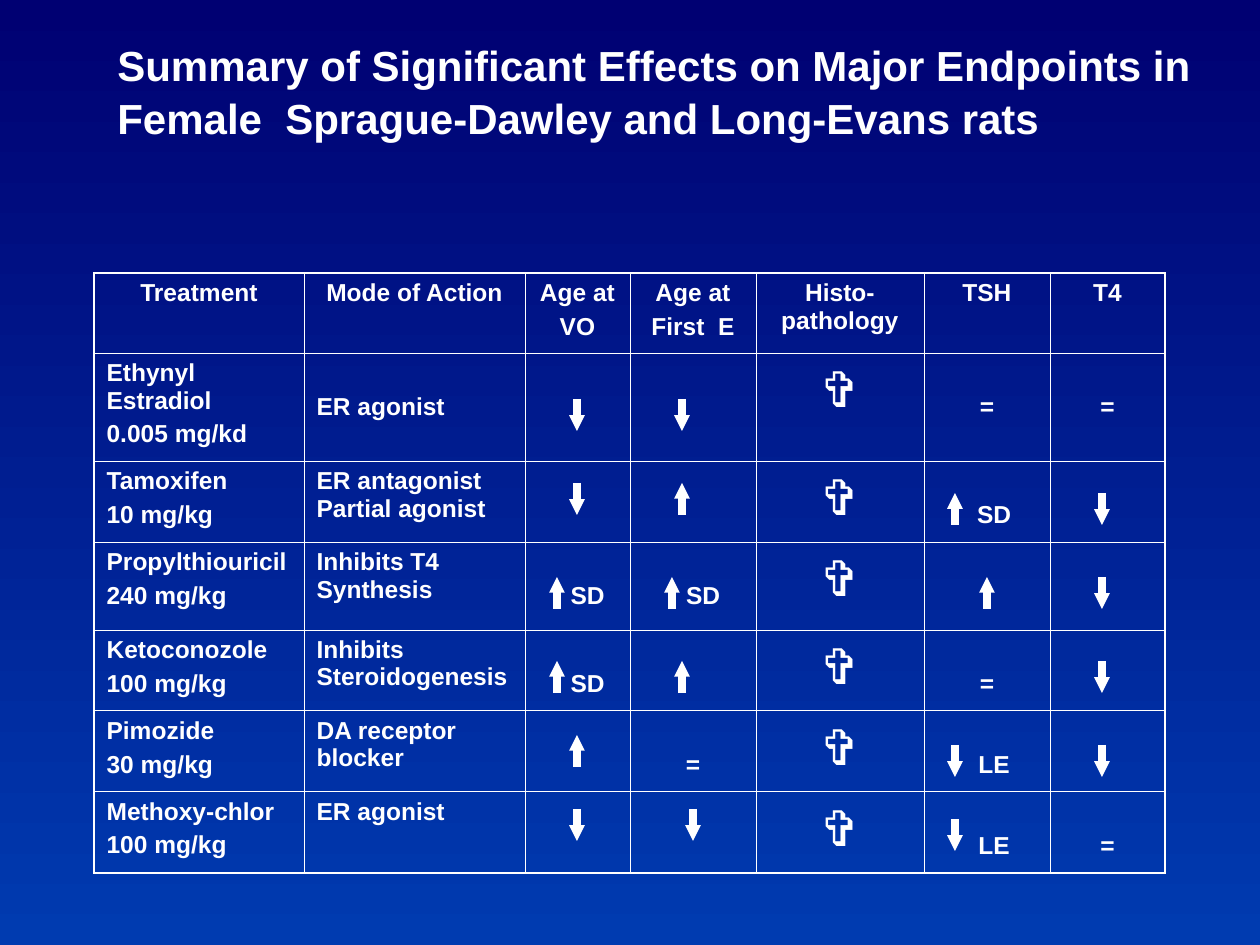
from lxml.etree import SubElement
from pptx import Presentation
from pptx.dml.color import RGBColor
from pptx.enum.shapes import MSO_CONNECTOR as Connector
from pptx.enum.text import MSO_AUTO_SIZE as AutoSize, PP_ALIGN as Align
from pptx.oxml.ns import qn
from pptx.util import Inches, Pt

WHITE = RGBColor(0xFF, 0xFF, 0xFF)
NAVY = RGBColor(0x00, 0x00, 0x72)
BLUE = RGBColor(0x00, 0x3B, 0xB0)

COLUMN_WIDTHS = [210, 221, 105, 126, 168, 126, 115]
ROW_HEIGHTS = [80, 108, 81, 88, 81, 81, 81]
HEADINGS = ["Treatment", "Mode of Action", "Age at\nVO", "Age at\nFirst  E",
            "Histo-pathology", "TSH", "T4"]
CROSS = "✞"
FINDINGS = [
    ["Ethynyl Estradiol\n0.005 mg/kd", "ER agonist", "", "", CROSS, "=", "="],
    ["Tamoxifen\n10 mg/kg", "ER antagonist Partial agonist", "", "", CROSS, "SD", ""],
    ["Propylthiouricil\n240 mg/kg", "Inhibits T4 Synthesis", "SD", "SD", CROSS, "", ""],
    ["Ketoconozole\n100 mg/kg", "Inhibits Steroidogenesis", "SD", "", CROSS, "=", ""],
    ["Pimozide\n30 mg/kg", "DA receptor blocker", "", "=", CROSS, "LE", ""],
    ["Methoxy-chlor\n100 mg/kg", "ER agonist", "", "", CROSS, "LE", "="],
]
STRAIN_INDENTS = {2: 33, 3: 33, 5: 27}
LOWERED_TOP = 40

ARROW_LENGTH = 32
RISES = [(557, 577), (557, 661), (577, 735), (682, 483), (672, 577),
         (682, 661), (955, 493), (987, 577)]
FALLS = [(577, 399), (577, 483), (577, 809), (682, 399), (693, 809),
         (955, 745), (955, 819), (1102, 493), (1102, 577), (1102, 661),
         (1102, 745)]


def px(length):
    """Turn a length in px into EMU."""
    return round(length * Inches(1) / 126)


def style_text(frame, size, align=Align.LEFT, face="Arial", bold=True, gap=0):
    """Format every paragraph of a text frame alike."""
    for index, paragraph in enumerate(frame.paragraphs):
        paragraph.alignment = align
        if index:
            paragraph.space_before = Pt(gap)
        for run in paragraph.runs:
            run.font.name = face
            run.font.size = Pt(size)
            run.font.bold = bold
            run.font.color.rgb = WHITE


def paint_background(slide):
    """Fill the slide with a gradient from top to bottom."""
    fill = slide.background.fill
    fill.gradient()
    fill.gradient_angle = 270
    for stop, color, position in zip(fill.gradient_stops, (NAVY, BLUE), (0, 1)):
        stop.color.rgb = color
        stop.position = position


def add_title(slide):
    """Add the two-line heading."""
    title = slide.shapes.add_textbox(px(105), px(31), px(1099), px(114))
    frame = title.text_frame
    frame.word_wrap = False
    frame.auto_size = AutoSize.SHAPE_TO_FIT_TEXT
    frame.text = ("Summary of Significant Effects on Major Endpoints in\n"
                  "Female  Sprague-Dawley and Long-Evans rats")
    style_text(frame, 24)
    for paragraph in frame.paragraphs:
        paragraph.line_spacing = 1.05


def set_borders(cell, row, column):
    """Draw thin inner rules and a heavier outer frame."""
    outer_sides = {"a:lnL": column == 0,
                   "a:lnR": column == len(HEADINGS) - 1,
                   "a:lnT": row == 0,
                   "a:lnB": row == len(FINDINGS)}
    properties = cell._tc.get_or_add_tcPr()
    for tag, is_outer in outer_sides.items():
        width = Pt(1.08 if is_outer else 0.45)
        rule = SubElement(properties, qn(tag), w=str(width))
        fill = SubElement(rule, qn("a:solidFill"))
        SubElement(fill, qn("a:srgbClr"), val=str(WHITE))


def fill_cell(cell, text, row, column):
    """Write one table cell and place its text."""
    set_borders(cell, row, column)
    cell.fill.background()
    cell.text = text
    is_lowered = row and (column in (2, 3, 5, 6) or (row, column) == (1, 1))
    if text and is_lowered:
        cell.margin_top = px(LOWERED_TOP)
    if text in ("SD", "LE"):
        cell.margin_left = px(STRAIN_INDENTS[column])
    if text == CROSS:
        style_text(cell.text_frame, 28, Align.CENTER, "Lato", False)
    else:
        align = Align.LEFT if row and column < 2 else Align.CENTER
        style_text(cell.text_frame, 14, align, gap=3.5)


def add_effects_table(slide):
    """Add the table of treatments and their effects."""
    rows = [HEADINGS] + FINDINGS
    table = slide.shapes.add_table(
        len(rows), len(HEADINGS), px(94), px(273),
        px(sum(COLUMN_WIDTHS)), px(sum(ROW_HEIGHTS))).table
    table.first_row = table.horz_banding = False
    for column, width in zip(table.columns, COLUMN_WIDTHS):
        column.width = px(width)
    for row, height in zip(table.rows, ROW_HEIGHTS):
        row.height = px(height)
    for row, texts in enumerate(rows):
        for column, text in enumerate(texts):
            fill_cell(table.cell(row, column), text, row, column)


def add_arrow(slide, x, start, end):
    """Add a vertical arrow that points from start to end."""
    arrow = slide.shapes.add_connector(
        Connector.STRAIGHT, px(x), px(start), px(x), px(end))
    arrow.line.color.rgb = WHITE
    arrow.line.width = Pt(4.5)
    SubElement(arrow.line._get_or_add_ln(), qn("a:tailEnd"),
               type="triangle", w="sm", len="sm")
    SubElement(arrow._element.spPr, qn("a:effectLst"))


def main():
    """Build the slide and save it."""
    deck = Presentation()
    deck.slide_width, deck.slide_height = px(1260), px(945)
    slide = deck.slides.add_slide(deck.slide_layouts[6])
    paint_background(slide)
    add_title(slide)
    add_effects_table(slide)
    for x, top in RISES:
        add_arrow(slide, x, top + ARROW_LENGTH, top)
    for x, top in FALLS:
        add_arrow(slide, x, top, top + ARROW_LENGTH)
    deck.save("out.pptx")


if __name__ == "__main__":
    main()
